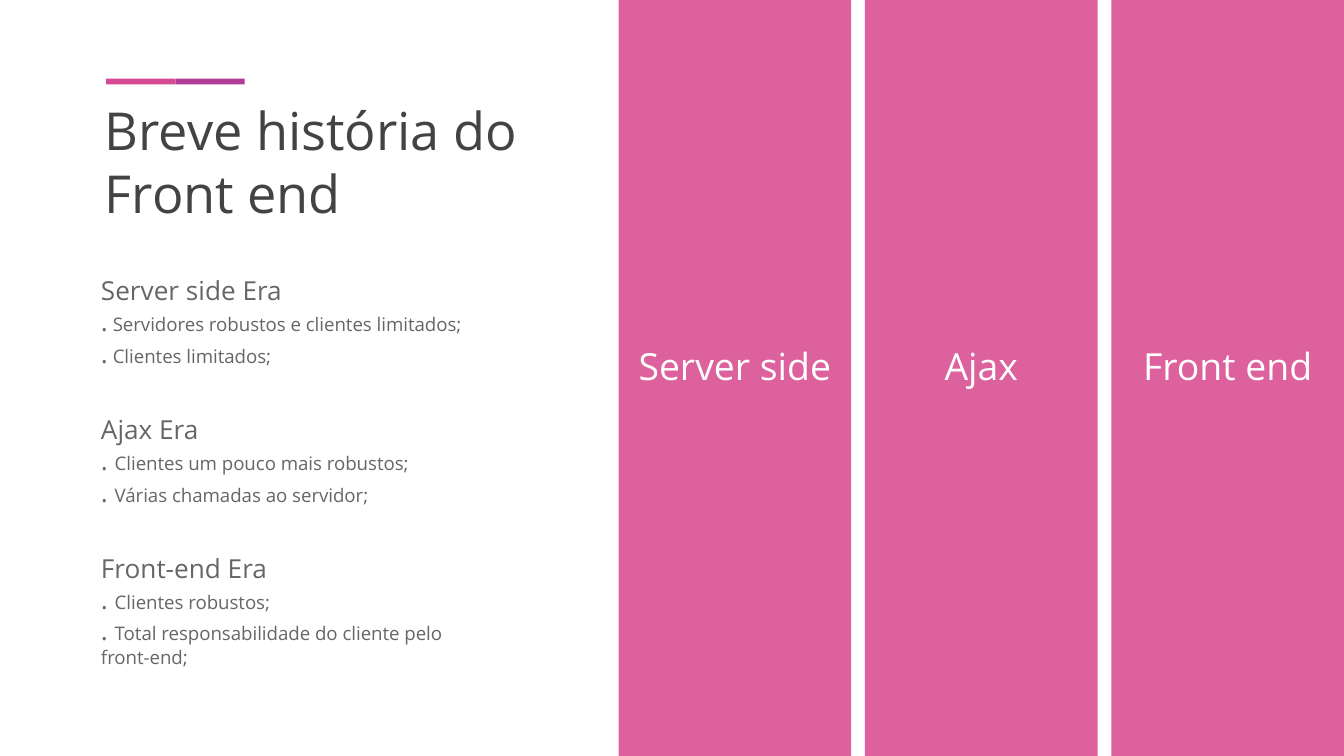
from pptx import Presentation
from pptx.dml.color import RGBColor
from pptx.enum.shapes import MSO_SHAPE
from pptx.enum.text import MSO_ANCHOR, MSO_AUTO_SIZE, PP_ALIGN
from pptx.util import Pt

RECTANGLE = MSO_SHAPE.RECTANGLE
TOP = MSO_ANCHOR.TOP
NO_AUTOFIT = MSO_AUTO_SIZE.NONE
LEFT, CENTER = PP_ALIGN.LEFT, PP_ALIGN.CENTER

FONT = "Open Sans"
WIDTH, HEIGHT = 720, 405
INSET = 7.2
DARK, GREY, WHITE = "434343", "666666", "FFFFFF"
ACCENTS = ["D54995", "B33C97"]
COLUMN_PINK = "DC619D"

TITLE = "Breve história do Front end"
ERAS = [
    ("Server side Era", [(".", " Servidores robustos e clientes limitados;"),
                         (".", " Clientes limitados;")]),
    ("Ajax Era", [(". ", "Clientes um pouco mais robustos;"),
                  (". ", "Várias chamadas ao servidor;")]),
    ("Front-end Era", [(". ", "Clientes robustos;"),
                       (". ", "Total responsabilidade do cliente pelo front-end;")]),
]
COLUMNS = ["Server side", "Ajax", "Front end"]


def color(value):
    return RGBColor.from_string(value)


def add_run(paragraph, text, size, fill):
    run = paragraph.add_run()
    run.text = text
    run.font.name = FONT
    run.font.size = Pt(size)
    run.font.color.rgb = color(fill)


def prepare_frame(shape):
    frame = shape.text_frame
    frame.word_wrap = True
    frame.auto_size = NO_AUTOFIT
    frame.vertical_anchor = TOP
    frame.margin_left = frame.margin_right = Pt(INSET)
    frame.margin_top = frame.margin_bottom = Pt(INSET)
    return frame


def add_text_box(slide, left, top, width, height):
    return prepare_frame(slide.shapes.add_textbox(
        Pt(left), Pt(top), Pt(width), Pt(height)))


def add_bar(slide, left, top, width, height, fill):
    shape = slide.shapes.add_shape(
        RECTANGLE, Pt(left), Pt(top), Pt(width), Pt(height))
    shape.shadow.inherit = False
    shape.fill.solid()
    shape.fill.fore_color.rgb = color(fill)
    shape.line.fill.background()


def add_title(slide, left, top, width, height):
    title = slide.shapes.title
    title.left, title.top = Pt(left), Pt(top)
    title.width, title.height = Pt(width), Pt(height)
    paragraph = prepare_frame(title).paragraphs[0]
    paragraph.alignment = LEFT
    add_run(paragraph, TITLE, 28, DARK)


def add_accent(slide, left, top, width, height):
    part = width / len(ACCENTS)
    for index, fill in enumerate(ACCENTS):
        add_bar(slide, left + index * part, top, part, height, fill)


def add_eras(slide, left, top, width, height):
    frame = add_text_box(slide, left, top, width, height)
    for index, (heading, points) in enumerate(ERAS):
        paragraph = frame.add_paragraph() if index else frame.paragraphs[0]
        if index:
            paragraph.space_before = Pt(24)
        add_run(paragraph, heading, 14, GREY)
        for marker, point in points:
            paragraph = frame.add_paragraph()
            add_run(paragraph, marker, 14, GREY)
            add_run(paragraph, point, 10, GREY)


def add_columns(slide, left, top, width, height):
    gap = 7.4
    column_width = (width - gap * (len(COLUMNS) - 1)) / len(COLUMNS)
    for index, label in enumerate(COLUMNS):
        column_left = left + index * (column_width + gap)
        add_bar(slide, column_left, top, column_width, height, COLUMN_PINK)
        frame = add_text_box(slide, column_left, top + 172.8, column_width, 60)
        paragraph = frame.paragraphs[0]
        paragraph.alignment = CENTER
        paragraph.line_spacing = 1.15
        add_run(paragraph, label, 20, WHITE)


def main():
    presentation = Presentation()
    presentation.slide_width, presentation.slide_height = Pt(WIDTH), Pt(HEIGHT)
    slide = presentation.slides.add_slide(presentation.slide_layouts[5])
    add_title(slide, 49, 45.4, 262, 96.5)
    add_accent(slide, 56.8, 42.2, 74.2, 3)
    add_eras(slide, 47, 139.7, 209.5, 250)
    add_columns(slide, 331.4, 0, WIDTH - 331.4, HEIGHT)
    presentation.save("out.pptx")


if __name__ == "__main__":
    main()
